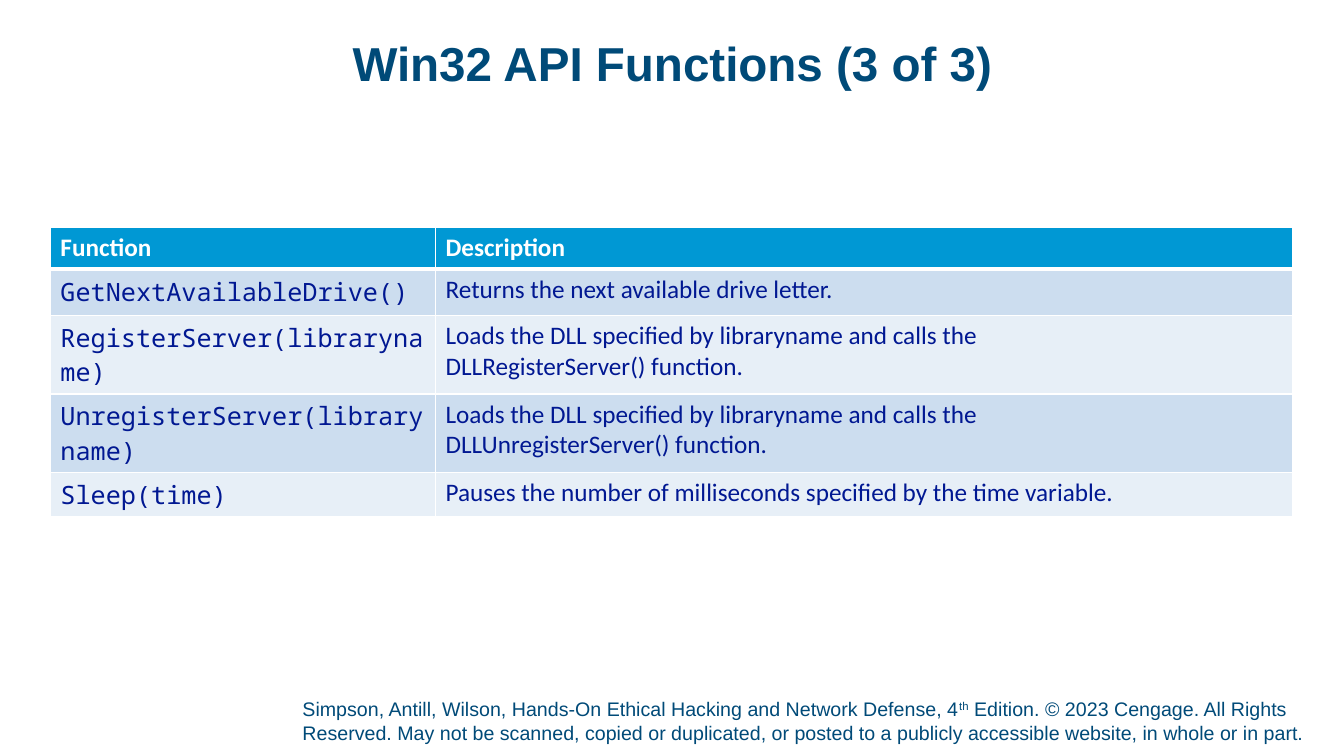
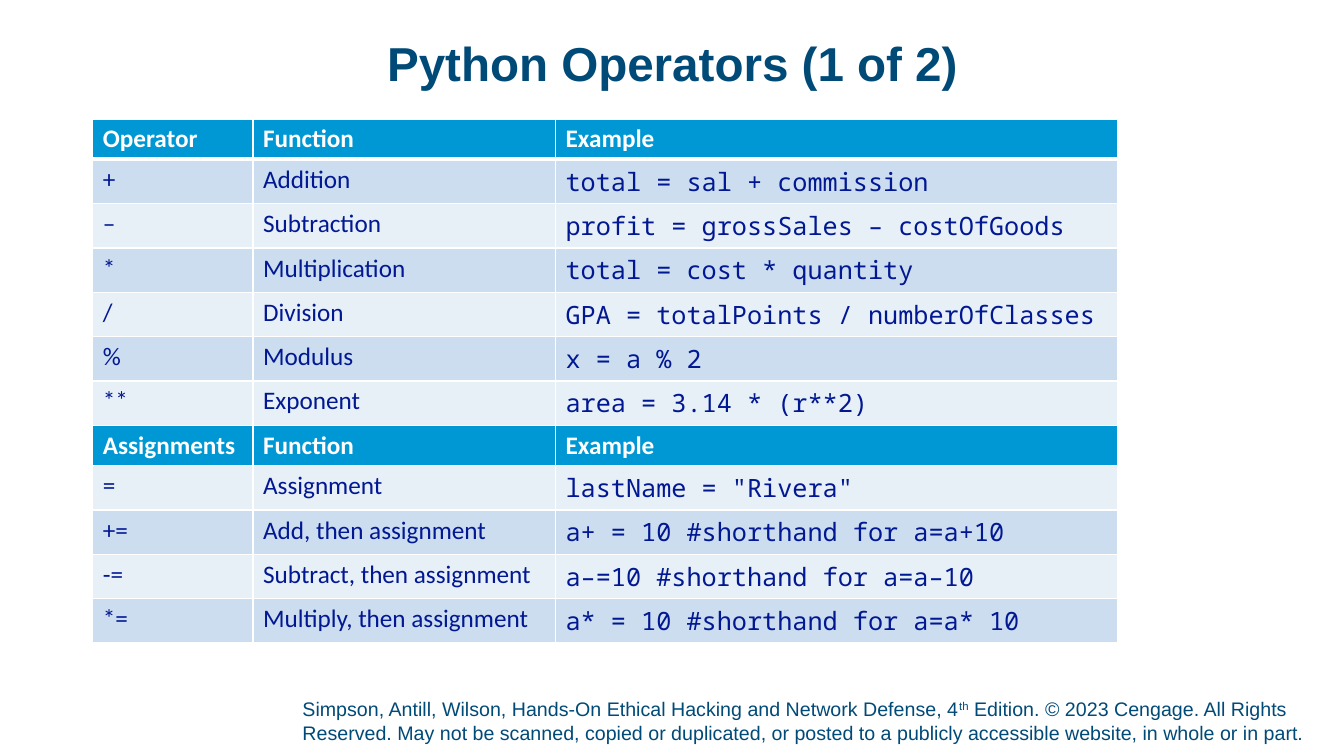
from dataclasses import dataclass

from lxml import etree
from pptx import Presentation
from pptx.dml.color import RGBColor
from pptx.enum.text import MSO_ANCHOR, PP_ALIGN
from pptx.oxml.ns import qn
from pptx.util import Inches, Pt

CENTER, LEFT = PP_ALIGN.CENTER, PP_ALIGN.LEFT
TOP, BOTTOM = MSO_ANCHOR.TOP, MSO_ANCHOR.BOTTOM


@dataclass(frozen=True)
class Theme:
    brand: str = "004A78"
    body: str = "011892"
    header_text: str = "FFFFFF"
    header_fill: str = "0098D4"
    bands: tuple = ("E7EFF7", "CCDDEF")
    border: str = "FFFFFF"
    thin: float = 1
    thick: float = 3
    heading_font: str = "Arial"
    table_font: str = "Calibri"
    code_font: str = "Noto Sans Mono"
    title_size: int = 34
    table_size: int = 18
    footer_size: int = 14


THEME = Theme()
SLIDE_SIZE = (13.33, 7.5)
TITLE_BOX = (0.92, 0.4, 11.5, 0.74)
FOOTER_BOX = (3, 6.91, 9.96, 0.52)
HEADER_HEIGHT, LINE_HEIGHT, WRAPPED_HEIGHT = 0.4, 0.44, 0.78

FOOTER = [
    "Simpson, Antill, Wilson, Hands-On Ethical Hacking and Network Defense, 4",
    ("th", 30),
    " Edition. © 2023 Cengage. All Rights Reserved. May not be scanned, copied or duplicated, "
    "or posted to a publicly accessible website, in whole or in part.",
]

SLIDES = [
    {
        "title": "Win32 API Functions (3 of 3)",
        "corner": (0.5, 2.26),
        "columns": (3.82, 8.5),
        "heights": [0.41, 0.46, WRAPPED_HEIGHT, WRAPPED_HEIGHT, LINE_HEIGHT],
        "code_column": 0,
        "header_rows": (0,),
        "rows": [
            ("Function", "Description"),
            ("GetNextAvailableDrive()", "Returns the next available drive letter."),
            ("RegisterServer(libraryname)",
             "Loads the DLL specified by libraryname and calls the\nDLLRegisterServer() function."),
            ("UnregisterServer(libraryname)",
             "Loads the DLL specified by libraryname and calls the\nDLLUnregisterServer() function."),
            ("Sleep(time)", "Pauses the number of milliseconds specified by the time variable."),
        ],
    },
    {
        "title": "Python Operators (1 of 2)",
        "corner": (0.92, 1.18),
        "columns": (1.59, 3, 5.57),
        "heights": [HEADER_HEIGHT, *[LINE_HEIGHT] * 6, HEADER_HEIGHT, *[LINE_HEIGHT] * 4],
        "code_column": 2,
        "header_rows": (0, 7),
        "rows": [
            ("Operator", "Function", "Example"),
            ("+", "Addition", "total = sal + commission"),
            ("–", "Subtraction", "profit = grossSales – costOfGoods"),
            ("*", "Multiplication", "total = cost * quantity"),
            ("/", "Division", "GPA = totalPoints / numberOfClasses"),
            ("%", "Modulus", "x = a % 2"),
            ("**", "Exponent", "area = 3.14 * (r**2)"),
            ("Assignments", "Function", "Example"),
            ("=", "Assignment", 'lastName = "Rivera"'),
            ("+=", "Add, then assignment", "a+ = 10 #shorthand for a=a+10"),
            ("-=", "Subtract, then assignment", "a–=10 #shorthand for a=a–10"),
            ("*=", "Multiply, then assignment", "a* = 10 #shorthand for a=a* 10"),
        ],
    },
]


def write_text(frame, paragraphs, *, font, size, color, bold=False, align=LEFT, spacing=None):
    """Fill a frame; a paragraph lists runs, each a string or (string, superscript percent)."""
    for index, runs in enumerate(paragraphs):
        paragraph = frame.add_paragraph() if index else frame.paragraphs[0]
        paragraph.alignment = align
        if spacing:
            paragraph.line_spacing = spacing
        for content in runs:
            text, raised = (content, 0) if isinstance(content, str) else content
            run = paragraph.add_run()
            run.text = text
            run.font.name, run.font.size, run.font.bold = font, Pt(size), bold
            run.font.color.rgb = RGBColor.from_string(color)
            if raised:
                run._r.get_or_add_rPr().set("baseline", str(raised * 1000))


def add_text_box(slide, box, runs, *, anchor=TOP, bottom_inset=0, **text_format):
    frame = slide.shapes.add_textbox(*map(Inches, box)).text_frame
    frame.word_wrap = True
    frame.vertical_anchor = anchor
    frame.margin_left = frame.margin_right = frame.margin_top = 0
    frame.margin_bottom = Inches(bottom_inset)
    write_text(frame, [runs], **text_format)


def set_borders(cell, top, bottom):
    properties = cell._tc.get_or_add_tcPr()
    for side, width in (("L", THEME.thin), ("R", THEME.thin), ("T", top), ("B", bottom)):
        line = etree.SubElement(properties, qn(f"a:ln{side}"), w=str(Pt(width)))
        fill = etree.SubElement(line, qn("a:solidFill"))
        etree.SubElement(fill, qn("a:srgbClr"), val=THEME.border)


def style_cell(cell, text, row, is_header, is_code):
    set_borders(cell, THEME.thick if row == 1 else THEME.thin, THEME.thick if row == 0 else THEME.thin)
    cell.fill.solid()
    fill = THEME.header_fill if is_header else THEME.bands[row % 2]
    cell.fill.fore_color.rgb = RGBColor.from_string(fill)
    write_text(
        cell.text_frame,
        [[line] for line in text.split("\n")],
        font=THEME.code_font if is_code and not is_header else THEME.table_font,
        size=THEME.table_size,
        color=THEME.header_text if is_header else THEME.body,
        bold=is_header,
    )


def add_data_table(slide, content):
    rows, widths, heights = content["rows"], content["columns"], content["heights"]
    box = (*content["corner"], sum(widths), sum(heights))
    table = slide.shapes.add_table(len(rows), len(widths), *map(Inches, box)).table
    for column, width in zip(table.columns, widths):
        column.width = Inches(width)
    for row, height in zip(table.rows, heights):
        row.height = Inches(height)
    for row, texts in enumerate(rows):
        for column, text in enumerate(texts):
            style_cell(table.cell(row, column), text, row,
                       row in content["header_rows"], column == content["code_column"])


def add_slide(presentation, content):
    slide = presentation.slides.add_slide(presentation.slide_layouts[6])
    add_text_box(slide, FOOTER_BOX, FOOTER, anchor=BOTTOM, bottom_inset=0.05,
                 font=THEME.heading_font, size=THEME.footer_size, color=THEME.brand)
    add_text_box(slide, TITLE_BOX, [content["title"]], font=THEME.heading_font,
                 size=THEME.title_size, color=THEME.brand, bold=True, align=CENTER, spacing=0.9)
    add_data_table(slide, content)


def main():
    presentation = Presentation()
    presentation.slide_width, presentation.slide_height = map(Inches, SLIDE_SIZE)
    for content in SLIDES:
        add_slide(presentation, content)
    presentation.save("out.pptx")


if __name__ == "__main__":
    main()
